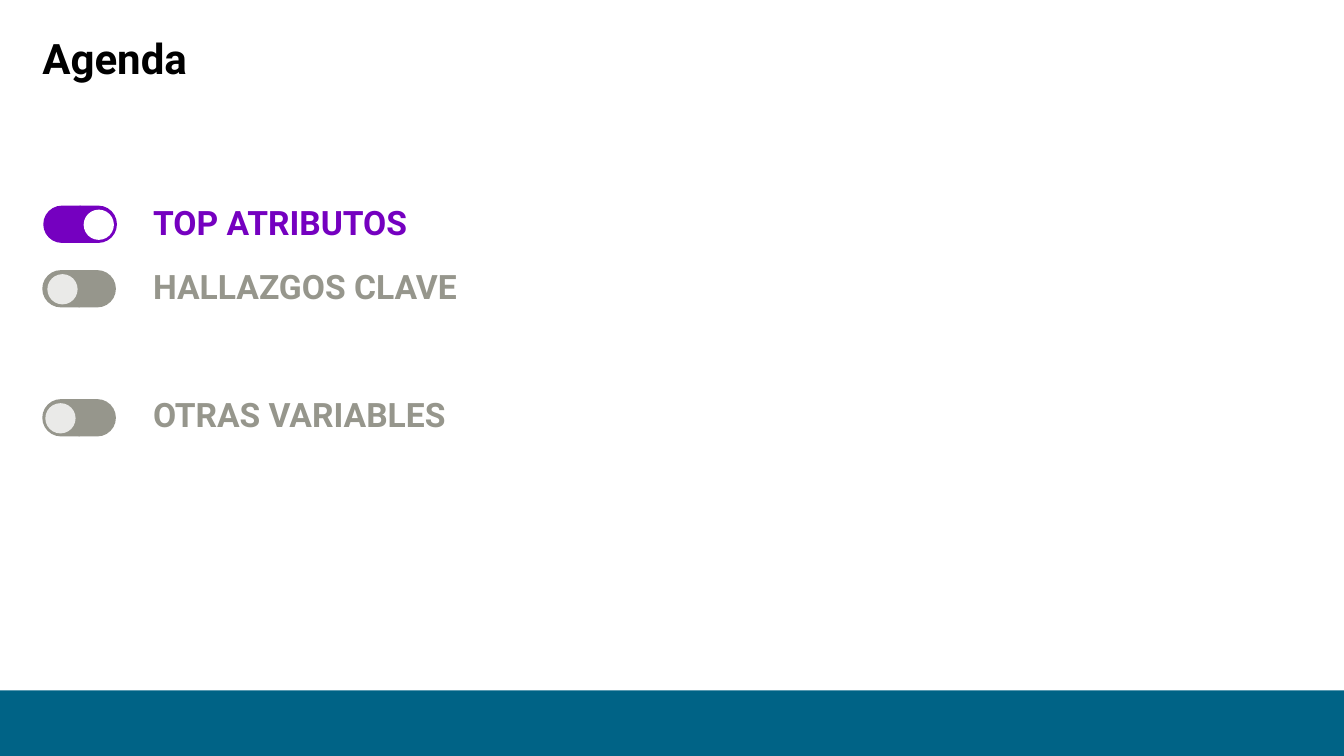
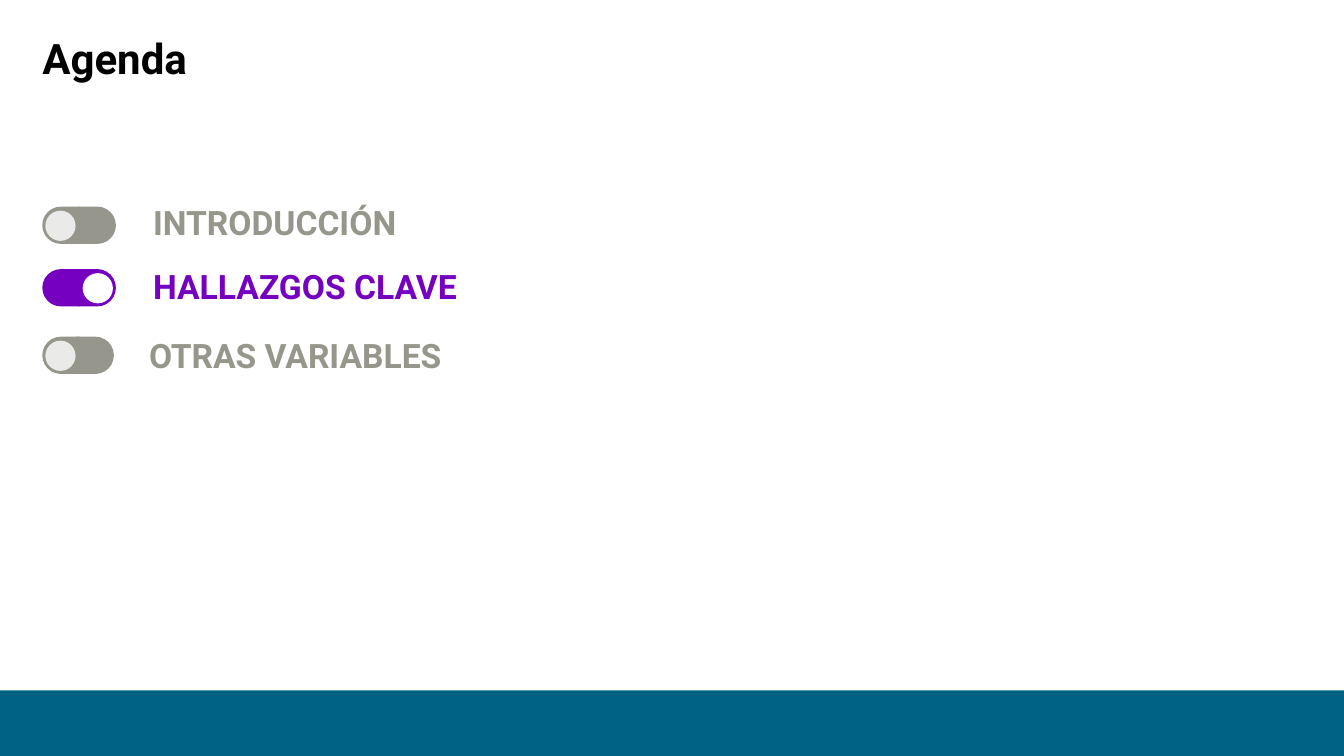
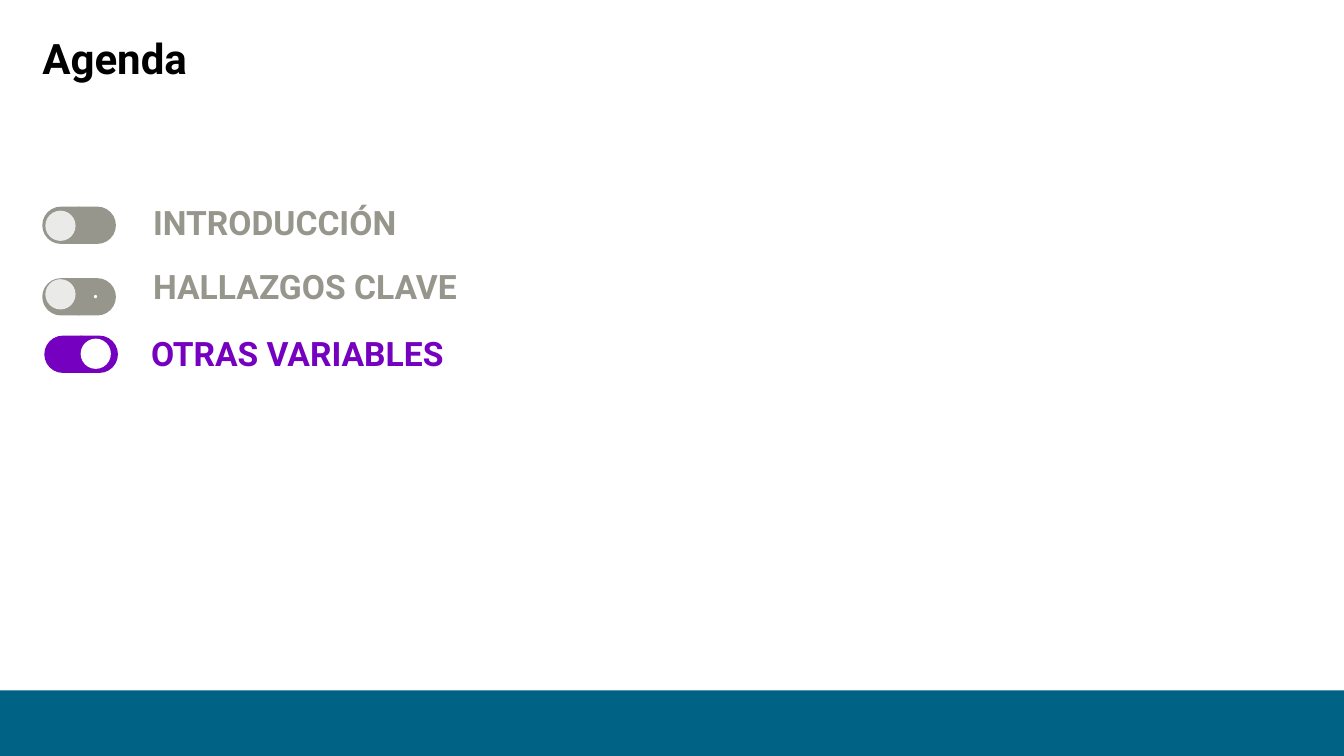
from dataclasses import dataclass

from pptx import Presentation
from pptx.dml.color import RGBColor
from pptx.enum.shapes import MSO_SHAPE
from pptx.enum.text import PP_ALIGN
from pptx.util import Inches, Pt

RECTANGLE, OVAL, DELAY = MSO_SHAPE.RECTANGLE, MSO_SHAPE.OVAL, MSO_SHAPE.FLOWCHART_DELAY
LEFT, CENTER = PP_ALIGN.LEFT, PP_ALIGN.CENTER

PURPLE, GRAY, PALE, WHITE, BLACK, TEAL = "7500C0", "96968C", "EAEAE8", "FFFFFF", "000000", "006386"
FONT = "Roboto"
SLIDE_WIDTH, SLIDE_HEIGHT = 13.33, 7.5
BAND_HEIGHT = 0.65
MARGIN = 0.42
END_SIZE, KNOB_SIZE = 0.37, 0.3
KNOB_OFF, KNOB_ON = (0.03, 0.04), (0.4, 0.04)


@dataclass
class Topic:
    """One agenda line; knob is the offset of the switch knob from its track."""
    label: str
    label_top: float
    track_top: float
    active: bool = False
    label_left: float = 1.42
    track_left: float = MARGIN
    track_width: float = 0.73
    knob: tuple = None


INTRODUCTION = Topic("INTRODUCCIÓN", 1.95, 2.05)

AGENDAS = [
    [
        Topic("TOP ATRIBUTOS", 1.95, 2.04, active=True, track_left=0.43),
        Topic("HALLAZGOS CLAVE", 2.59, 2.68, knob=(0.05, 0.04)),
        Topic("OTRAS VARIABLES", 3.86, 3.96),
    ],
    [
        INTRODUCTION,
        Topic("HALLAZGOS CLAVE", 2.59, 2.67, active=True),
        Topic("OTRAS VARIABLES", 3.27, 3.34, label_left=1.38, track_width=0.71),
    ],
    [
        INTRODUCTION,
        Topic("HALLAZGOS CLAVE", 2.59, 2.76, knob=(0.03, 0.01)),
        Topic("OTRAS VARIABLES", 3.25, 3.33, active=True, label_left=1.4,
              track_left=0.44, knob=(0.36, 0.03)),
    ],
]


def color(hex_value):
    return RGBColor.from_string(hex_value)


def add_filled(page, kind, left, top, width, height, fill):
    shape = page.shapes.add_shape(kind, Inches(left), Inches(top), Inches(width), Inches(height))
    shape.shadow.inherit = False
    shape.fill.solid()
    shape.fill.fore_color.rgb = color(fill)
    shape.line.fill.background()
    return shape


def add_text(page, text, left, top, width, height, size, fill,
             bold=True, font=FONT, align=LEFT, inset=True):
    box = page.shapes.add_textbox(Inches(left), Inches(top), Inches(width), Inches(height))
    frame = box.text_frame
    frame.word_wrap = True
    if not inset:
        frame.margin_left = frame.margin_right = frame.margin_top = frame.margin_bottom = 0
    para = frame.paragraphs[0]
    para.text = text
    para.alignment = align
    para.font.name = font
    para.font.size = Pt(size)
    para.font.bold = bold
    para.font.color.rgb = color(fill)
    return para


def add_switch(page, topic):
    """Draw two rounded track ends, the left one mirrored, and the knob."""
    fill = PURPLE if topic.active else GRAY
    left, top = topic.track_left, topic.track_top
    left_end = add_filled(page, DELAY, left, top, END_SIZE, END_SIZE, fill)
    left_end.element.spPr.xfrm.set("flipH", "1")
    add_filled(page, DELAY, left + topic.track_width - END_SIZE, top, END_SIZE, END_SIZE, fill)
    across, down = topic.knob or (KNOB_ON if topic.active else KNOB_OFF)
    add_filled(page, OVAL, left + across, top + down, KNOB_SIZE, KNOB_SIZE,
               WHITE if topic.active else PALE)


def add_agenda(deck, topics):
    page = deck.slides.add_slide(deck.slide_layouts[6])
    title = add_text(page, "Agenda", MARGIN, 0.42, 12.5, 0.77, 30, BLACK, inset=False)
    title.line_spacing = 0.8
    add_filled(page, RECTANGLE, 0, SLIDE_HEIGHT - BAND_HEIGHT, SLIDE_WIDTH, BAND_HEIGHT, TEAL)
    for topic in topics:
        add_text(page, topic.label, topic.label_left, topic.label_top, 6.8, 0.5, 24,
                 PURPLE if topic.active else GRAY)
        add_switch(page, topic)
    return page


def main():
    deck = Presentation()
    deck.slide_width, deck.slide_height = Inches(SLIDE_WIDTH), Inches(SLIDE_HEIGHT)
    pages = [add_agenda(deck, topics) for topics in AGENDAS]
    add_text(pages[-1], ".", 0.85, 2.71, 0.2, 0.36, 18, WHITE, bold=False,
             font="Noto Sans CJK SC", align=CENTER, inset=False)
    deck.save("out.pptx")


if __name__ == "__main__":
    main()
